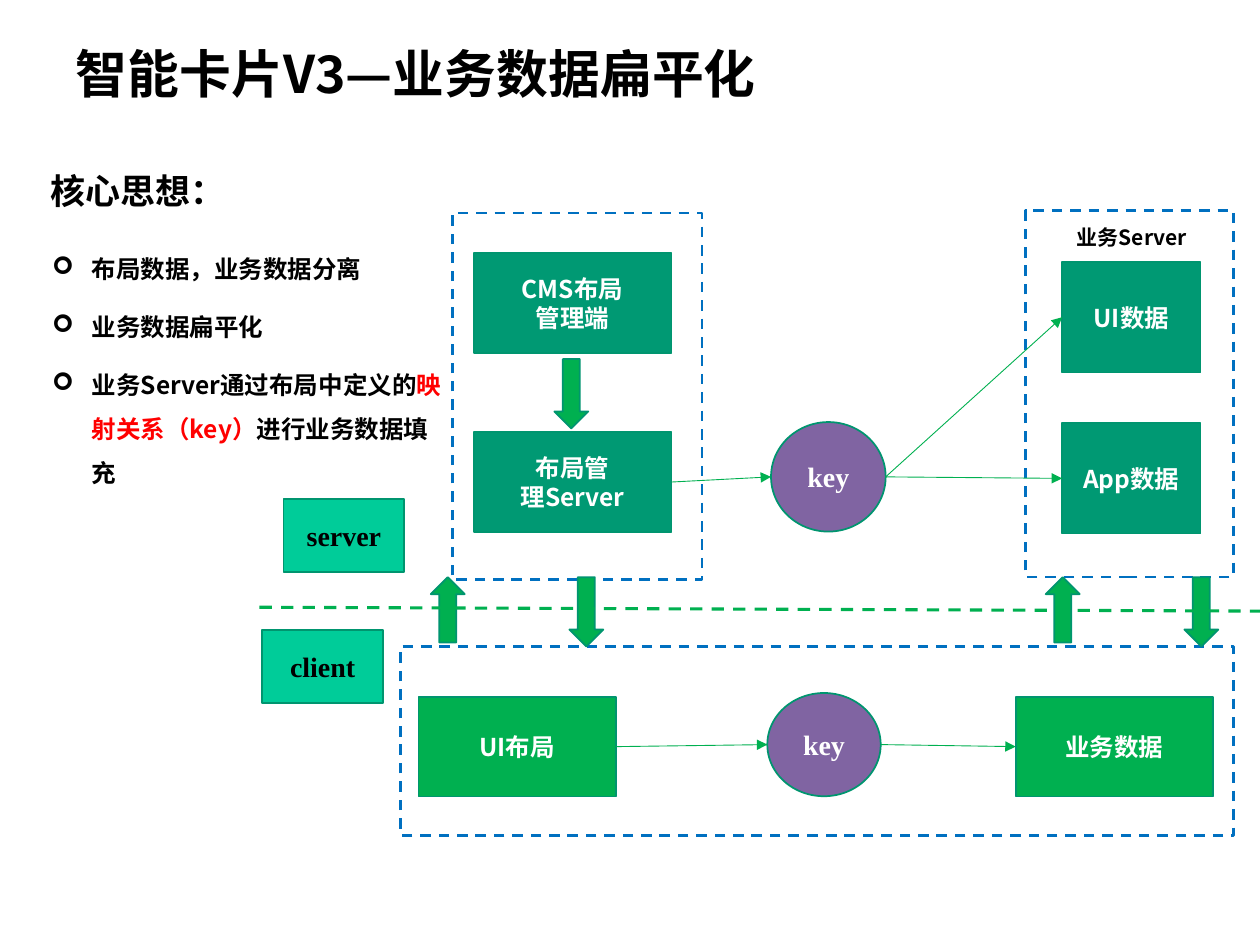
from lxml import etree
from pptx import Presentation
from pptx.dml.color import RGBColor
from pptx.enum import dml, shapes, text
from pptx.oxml import ns
from pptx.util import Pt

BLACK = RGBColor(0x00, 0x00, 0x00)
WHITE = RGBColor(0xFF, 0xFF, 0xFF)
RED = RGBColor(0xFF, 0x00, 0x00)
TEAL = RGBColor(0x00, 0x99, 0x73)
EDGE = RGBColor(0x00, 0x95, 0x6F)
GREEN = RGBColor(0x00, 0xB0, 0x50)
MINT = RGBColor(0x00, 0xCC, 0x99)
PURPLE = RGBColor(0x80, 0x64, 0xA2)
BLUE = RGBColor(0x00, 0x70, 0xC0)

SANS, SERIF = "Noto Sans CJK SC", "Times New Roman"
KIND = shapes.MSO_SHAPE
BLOCK = (113, 56.9)
DATA_BLOCK = (79.2, 63)
ARROW_WIDTH, DOWN_HEIGHT, UP_HEIGHT = 19.4, 39.6, 37.4


def apply(target, **values):
    """Set every given attribute on the target."""
    for name, value in values.items():
        setattr(target, name, value)


def style_run(run, size, color=BLACK, face=SANS):
    """Format one run in bold, for Latin and East Asian letters alike."""
    apply(run.font, size=Pt(size), bold=True, name=face)
    run.font.color.rgb = color
    east_asian = etree.SubElement(run._r.get_or_add_rPr(), ns.qn("a:ea"))
    east_asian.set("typeface", face)


def write(frame, wording, size, color=BLACK, face=SANS, paragraph_format=None,
          anchor=text.MSO_ANCHOR.MIDDLE):
    """Fill a text frame, one paragraph for each line of the wording."""
    apply(frame, text=wording, word_wrap=True, vertical_anchor=anchor,
          auto_size=text.MSO_AUTO_SIZE.NONE)
    for paragraph in frame.paragraphs:
        apply(paragraph, **(paragraph_format or {"alignment": text.PP_ALIGN.CENTER}))
        for run in paragraph.runs:
            style_run(run, size, color, face)


def place(placeholder, left, top, width, height):
    """Move a placeholder to a box."""
    apply(placeholder, left=Pt(left), top=Pt(top), width=Pt(width), height=Pt(height))


def add_label(slide, left, top, width, height, wording, size, **options):
    """Add plain text in a box."""
    label = slide.shapes.add_textbox(Pt(left), Pt(top), Pt(width), Pt(height))
    write(label.text_frame, wording, size, **options)


def add_node(slide, kind, left, top, width, height, fill):
    """Add a filled, thinly outlined shape."""
    node = slide.shapes.add_shape(kind, Pt(left), Pt(top), Pt(width), Pt(height))
    node.shadow.inherit = False
    node.fill.solid()
    node.fill.fore_color.rgb = fill
    node.line.color.rgb = EDGE
    node.line.width = Pt(1)
    return node


def add_block(slide, left, top, size, wording, fill):
    """Add a rectangle with white text."""
    block = add_node(slide, KIND.RECTANGLE, left, top, *size, fill)
    write(block.text_frame, wording, 14, WHITE)
    return block


def add_key(slide, left, top, width, height):
    """Add the round mapping key."""
    key = add_node(slide, KIND.OVAL, left, top, width, height, PURPLE)
    write(key.text_frame, "key", 16, WHITE, SERIF)
    return key


def add_tag(slide, left, top, width, height, wording):
    """Add the name tag of one side of the divider."""
    tag = add_node(slide, KIND.RECTANGLE, left, top, width, height, MINT)
    write(tag.text_frame, wording, 16, BLACK, SERIF)


def add_frame(slide, left, top, width, height):
    """Add the dashed border of a region."""
    frame = slide.shapes.add_shape(KIND.RECTANGLE, Pt(left), Pt(top), Pt(width), Pt(height))
    frame.shadow.inherit = False
    frame.fill.background()
    frame.line.color.rgb = BLUE
    apply(frame.line, width=Pt(1.5), dash_style=dml.MSO_LINE.DASH)


def add_line(slide, start, end, weight):
    """Add a straight green line between two points."""
    line = slide.shapes.add_connector(shapes.MSO_CONNECTOR.STRAIGHT, *start, *end)
    line.line.color.rgb = GREEN
    line.line.width = Pt(weight)
    etree.SubElement(line._element.spPr, ns.qn("a:effectLst"))
    return line


def add_link(slide, source, target):
    """Point an arrow from the right of one shape to the left of another."""
    start = (source.left + source.width, source.top + source.height // 2)
    end = (target.left, target.top + target.height // 2)
    link = add_line(slide, start, end, 0.5)
    etree.SubElement(link.line._get_or_add_ln(), ns.qn("a:tailEnd")).set("type", "triangle")


def add_bullet(paragraph, mark="➢"):
    """Give a paragraph an arrow bullet with a hanging indent."""
    properties = paragraph._p.get_or_add_pPr()
    properties.set("marL", str(Pt(22.5)))
    properties.set("indent", str(-Pt(22.5)))
    color = etree.SubElement(properties, ns.qn("a:buClr"))
    etree.SubElement(color, ns.qn("a:srgbClr")).set("val", str(BLACK))
    etree.SubElement(properties, ns.qn("a:buFont")).set("typeface", "Wingdings")
    etree.SubElement(properties, ns.qn("a:buChar")).set("char", mark)


def build_ideas(slide, left, top, width, height):
    """Place the heading and the list of core ideas."""
    add_label(slide, left, top, 164, 31.7, "核心思想：", 20, anchor=text.MSO_ANCHOR.TOP,
              paragraph_format={"alignment": text.PP_ALIGN.LEFT})
    ideas = [
        [("布局数据，业务数据分离", BLACK)],
        [("业务数据扁平化", BLACK)],
        [("业务Server通过布局中定义的", BLACK), ("映射关系（key）", RED),
         ("进行业务数据填充", BLACK)],
    ]
    body = slide.placeholders[1]
    place(body, left + 1, top + 39.6, width, height - 39.6)
    frame = body.text_frame
    apply(frame, word_wrap=True, auto_size=text.MSO_AUTO_SIZE.NONE)
    for index, idea in enumerate(ideas):
        paragraph = frame.add_paragraph() if index else frame.paragraphs[0]
        apply(paragraph, line_spacing=1.5, space_before=Pt(8 if index else 0))
        add_bullet(paragraph)
        for wording, color in idea:
            run = paragraph.add_run()
            run.text = wording
            style_run(run, 14, color)


def build_layout_server(slide, left, top, width, height):
    """Place the layout management region and return its server block."""
    add_frame(slide, left, top, width, height)
    add_block(slide, left + 12.2, top + 23, BLOCK, "CMS布局\n管理端", TEAL)
    add_node(slide, KIND.DOWN_ARROW, left + 58.3, top + 83.5, ARROW_WIDTH, DOWN_HEIGHT, GREEN)
    return add_block(slide, left + 12.2, top + 125.3, BLOCK, "布局管\n理Server", TEAL)


def build_business_server(slide, left, top, width, height):
    """Place the business server region and return its data blocks."""
    add_frame(slide, left, top, width, height)
    add_label(slide, left + 11.5, top + 6.5, 98.6, 17.3, "业务Server", 12)
    return [add_block(slide, left + 20.9, top + offset, DATA_BLOCK, wording, TEAL)
            for wording, offset in (("UI数据", 29.6), ("App数据", 121.7))]


def build_client(slide, left, top, width, height):
    """Place the client region with its linked layout, key and data."""
    add_frame(slide, left, top, width, height)
    layout = add_block(slide, left + 10.1, top + 28.8, BLOCK, "UI布局", GREEN)
    key = add_key(slide, left + 209.5, top + 26.6, 64.8, 59)
    data = add_block(slide, left + 351.4, top + 28.8, BLOCK, "业务数据", GREEN)
    add_link(slide, layout, key)
    add_link(slide, key, data)


def build_exchange(slide, left, top, width):
    """Place an up arrow and a down arrow at the two ends of a box."""
    add_node(slide, KIND.UP_ARROW, left, top, ARROW_WIDTH, UP_HEIGHT, GREEN)
    add_node(slide, KIND.DOWN_ARROW, left + width - ARROW_WIDTH, top,
             ARROW_WIDTH, DOWN_HEIGHT, GREEN)


def main():
    """Build the slide and save it."""
    deck = Presentation()
    apply(deck, slide_width=Pt(720), slide_height=Pt(540))
    slide = deck.slides.add_slide(deck.slide_layouts[1])
    title = slide.shapes.title
    place(title, 36, 21.6, 648, 44.6)
    write(title.text_frame, "智能卡片V3—业务数据扁平化", 29.6,
          paragraph_format={"alignment": text.PP_ALIGN.LEFT, "line_spacing": 0.9})
    build_ideas(slide, 21.6, 93.6, 240.5, 190)
    layout_server = build_layout_server(slide, 258.5, 121.7, 142.6, 209.5)
    business_data = build_business_server(slide, 586, 120.2, 118.8, 209.5)
    key = add_key(slide, 440.6, 241.2, 65.5, 62.6)
    add_link(slide, layout_server, key)
    for block in business_data:
        add_link(slide, key, block)
    build_client(slide, 229, 369.4, 476, 108)
    for left in (246.2, 597.6):
        build_exchange(slide, left, 329.8, 98.6)
    divider = add_line(slide, (Pt(148.3), Pt(347)), (Pt(720), Pt(349.2)), 1.75)
    divider.line.dash_style = dml.MSO_LINE.DASH
    add_tag(slide, 162, 285.1, 69.1, 41.8, "server")
    add_tag(slide, 149.8, 360, 69.1, 41.8, "client")
    deck.save("out.pptx")


if __name__ == "__main__":
    main()
